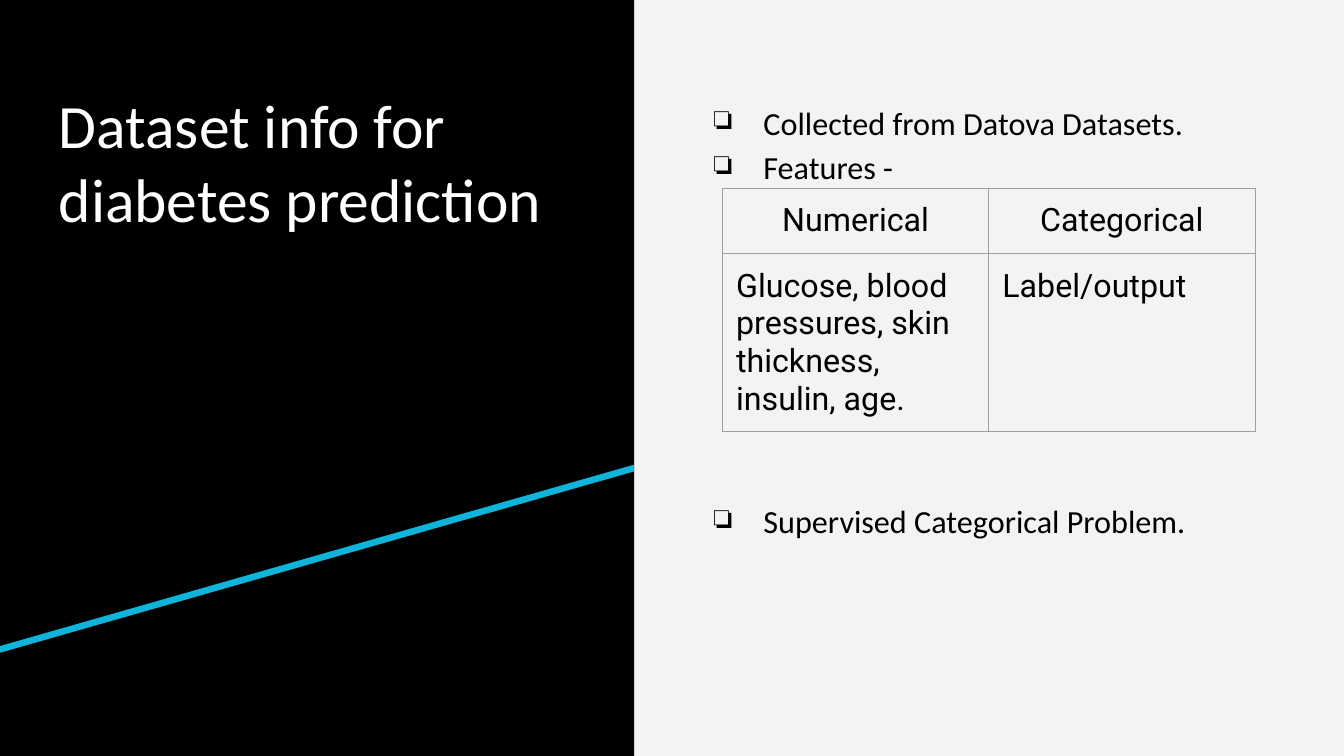
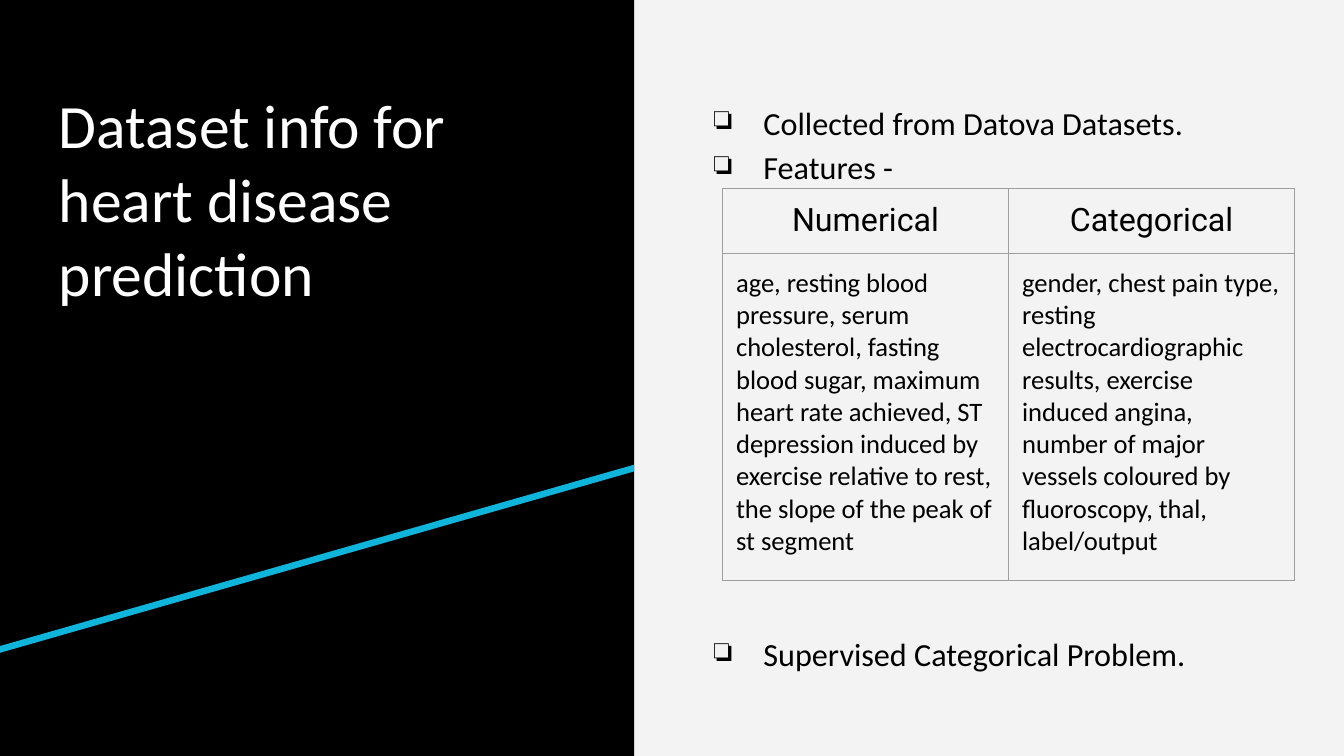
import pptx
import pptx.util
import pptx.dml.color
import pptx.enum.shapes
import pptx.enum.text
import pptx.oxml
import pptx.oxml.ns
import lxml.etree

Cm = pptx.util.Cm
Pt = pptx.util.Pt
RGBColor = pptx.dml.color.RGBColor
Align = pptx.enum.text.PP_ALIGN

# Shared look
BLACK = RGBColor(0x00, 0x00, 0x00)
WHITE = RGBColor(0xFF, 0xFF, 0xFF)
PALE_GREY = RGBColor(0xF3, 0xF3, 0xF3)
CYAN = RGBColor(0x0F, 0xB4, 0xDB)
BORDER_GREY = RGBColor(0x9E, 0x9E, 0x9E)
BODY_FONT, TABLE_FONT = "Calibri", "Roboto"
TITLE_SIZE, BODY_SIZE = Pt(44), Pt(23)
INSET = Cm(0.34)

# Regions: left, top, width, height
SLIDE_WIDTH, SLIDE_HEIGHT = Cm(33.87), Cm(19.05)
PANEL_BOX = (Cm(0), Cm(0), Cm(15.98), SLIDE_HEIGHT)
TITLE_BOX = (Cm(1.14), Cm(1.85), Cm(13.72), Cm(9.3))
POINTS_BOX = (Cm(17.2), Cm(2.11), Cm(15.44), Cm(15.19))
TABLE_LEFT, TABLE_TOP, HEADER_HEIGHT = Cm(18.21), Cm(4.75), Cm(1.64)

POINTS = ["Collected from Datova Datasets.", "Features -",
          "Supervised Categorical Problem."]
HEADERS = ["Numerical", "Categorical"]

DATASETS = [
    {
        "title": "Dataset info for diabetes prediction",
        "features": ["Glucose, blood pressures, skin thickness, insulin, age.",
                     "Label/output"],
        "font": TABLE_FONT, "size": BODY_SIZE,
        "column_width": Cm(6.71), "features_height": Cm(4.49),
        "table_gap": Pt(221),
    },
    {
        "title": "Dataset info for heart disease prediction",
        "features": ["age, resting blood pressure, serum cholesterol, fasting "
                     "blood sugar, maximum heart rate achieved, ST depression "
                     "induced by exercise relative to rest, the slope of the "
                     "peak of st segment",
                     "gender, chest pain type, resting electrocardiographic "
                     "results, exercise induced angina, number of major "
                     "vessels coloured by fluoroscopy, thal, label/output"],
        "font": BODY_FONT, "size": Pt(19),
        "column_width": Cm(7.21), "features_height": Cm(8.24),
        "table_gap": Pt(316),
    },
]


def style_runs(paragraph, font, size, color):
    for run in paragraph.runs:
        run.font.name = font
        run.font.size = size
        run.font.color.rgb = color


def set_frame(frame):
    frame.word_wrap = True
    frame.auto_size = pptx.enum.text.MSO_AUTO_SIZE.NONE
    frame.vertical_anchor = pptx.enum.text.MSO_ANCHOR.TOP
    frame.margin_left = frame.margin_right = INSET
    frame.margin_top = frame.margin_bottom = INSET


def paint(shape, color):
    shape.shadow.inherit = False
    shape.fill.solid()
    shape.fill.fore_color.rgb = color
    shape.line.fill.background()


def add_panel(slide, box):
    """Black panel crossed by a slanted cyan stripe."""
    left, top, width, height = box
    panel = slide.shapes.add_shape(
        pptx.enum.shapes.MSO_SHAPE.RECTANGLE, left, top, width, height)
    paint(panel, BLACK)
    low, high, thickness = top + Cm(16.28), top + Cm(11.71), Cm(0.17)
    right = left + width
    outline = slide.shapes.build_freeform(left, low)
    outline.add_line_segments([(right, high), (right, high + thickness),
                               (left, low + thickness)])
    paint(outline.convert_to_shape(), CYAN)


def add_title(slide, box, text):
    title = slide.shapes.title
    title.left, title.top, title.width, title.height = box
    title.element.getparent().append(title.element)  # in front of the panel
    set_frame(title.text_frame)
    title.text_frame.text = text
    heading = title.text_frame.paragraphs[0]
    heading.alignment = Align.LEFT
    style_runs(heading, BODY_FONT, TITLE_SIZE, WHITE)


def add_bullet(paragraph):
    properties = paragraph._p.get_or_add_pPr()
    properties.set("marL", str(Cm(1.7)))
    properties.set("indent", str(-Cm(1.24)))
    color = lxml.etree.SubElement(properties, pptx.oxml.ns.qn("a:buClr"))
    lxml.etree.SubElement(color, pptx.oxml.ns.qn("a:srgbClr"), val=str(BLACK))
    lxml.etree.SubElement(properties, pptx.oxml.ns.qn("a:buChar"), char="❏")


def add_points(slide, box, table_gap):
    """Bullets; the last one leaves room for the table above it."""
    frame = slide.shapes.add_textbox(*box).text_frame
    set_frame(frame)
    frame.text = "\n".join(POINTS)
    for point in frame.paragraphs:
        point.line_spacing = 1.15
        add_bullet(point)
        style_runs(point, BODY_FONT, BODY_SIZE, BLACK)
    frame.paragraphs[-1].space_before = table_gap


def set_borders(cell):
    properties = cell._tc.get_or_add_tcPr()
    for index, side in enumerate(("lnL", "lnR", "lnT", "lnB")):
        border = pptx.oxml.parse_xml(
            f'<a:{side} {pptx.oxml.ns.nsdecls("a")} w="{Pt(0.75)}">'
            f'<a:solidFill><a:srgbClr val="{BORDER_GREY}"/></a:solidFill>'
            f'</a:{side}>')
        properties.insert(index, border)


def add_feature_table(slide, left, top, dataset):
    rows = [
        (HEADERS, HEADER_HEIGHT, TABLE_FONT, BODY_SIZE, Align.CENTER),
        (dataset["features"], dataset["features_height"], dataset["font"],
         dataset["size"], Align.LEFT),
    ]
    width = dataset["column_width"] * len(HEADERS)
    height = sum(row[1] for row in rows)
    table = slide.shapes.add_table(
        len(rows), len(HEADERS), left, top, width, height).table
    table.first_row = table.horz_banding = False
    for column in table.columns:
        column.width = dataset["column_width"]
    for r, (texts, row_height, font, size, alignment) in enumerate(rows):
        table.rows[r].height = row_height
        for c, text in enumerate(texts):
            cell = table.cell(r, c)
            cell.margin_left = cell.margin_right = INSET
            cell.margin_top = cell.margin_bottom = INSET
            cell.fill.background()
            set_borders(cell)
            cell.text_frame.text = text
            entry = cell.text_frame.paragraphs[0]
            entry.alignment = alignment
            style_runs(entry, font, size, BLACK)


def add_dataset_slide(deck, dataset):
    slide = deck.slides.add_slide(deck.slide_layouts.get_by_name("Title Only"))
    slide.background.fill.solid()
    slide.background.fill.fore_color.rgb = PALE_GREY
    add_panel(slide, PANEL_BOX)
    add_title(slide, TITLE_BOX, dataset["title"])
    add_points(slide, POINTS_BOX, dataset["table_gap"])
    add_feature_table(slide, TABLE_LEFT, TABLE_TOP, dataset)


def main():
    deck = pptx.Presentation()
    deck.slide_width, deck.slide_height = SLIDE_WIDTH, SLIDE_HEIGHT
    for dataset in DATASETS:
        add_dataset_slide(deck, dataset)
    deck.save("out.pptx")


if __name__ == "__main__":
    main()
